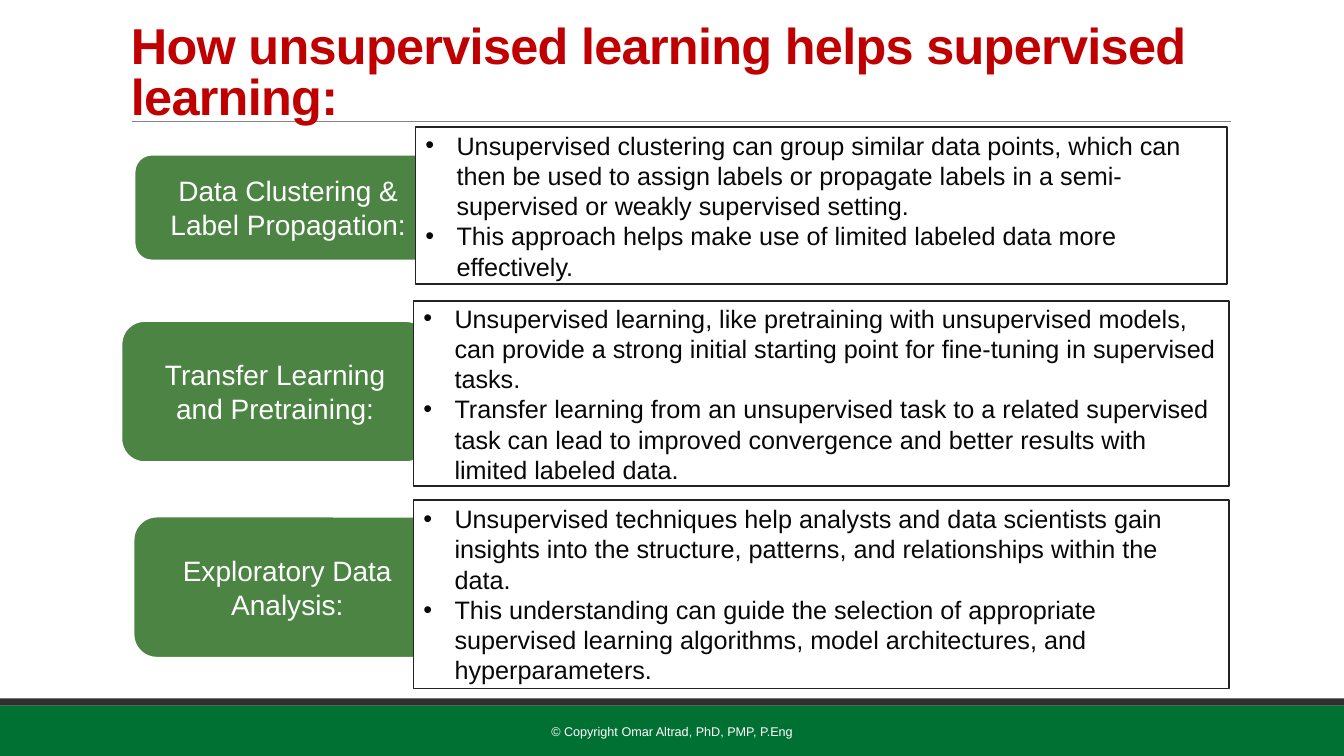
from lxml import etree
from pptx import Presentation
from pptx.dml.color import RGBColor
from pptx.enum.shapes import MSO_CONNECTOR, MSO_SHAPE
from pptx.enum.text import MSO_ANCHOR, PP_ALIGN
from pptx.oxml.ns import qn
from pptx.util import Inches, Pt

RECT, ROUND = MSO_SHAPE.RECTANGLE, MSO_SHAPE.ROUNDED_RECTANGLE
STRAIGHT = MSO_CONNECTOR.STRAIGHT
MIDDLE = MSO_ANCHOR.MIDDLE
LEFT, CENTER = PP_ALIGN.LEFT, PP_ALIGN.CENTER

COLORS = {
    "white": "FFFFFF", "footer": "007033", "band": "2F2F2F", "rule": "848484",
    "title": "C00000", "label": "4C8444", "edge": "232323", "body": "080808",
}
FONT = "Arial"
WIDTH, HEIGHT = 13.33, 7.5
INDENT = 0.31

TITLE = "How unsupervised learning helps supervised learning:"
CREDIT = "© Copyright Omar Altrad, PhD, PMP, P.Eng"
TOPICS = [
    {
        "label": "Data Clustering & Label Propagation:",
        "tab": (1.33, 1.53, 3.06, 1.06),
        "box": (4.12, 1.26, 8.05, 1.56),
        "points": [
            "Unsupervised clustering can group similar data points, which can then be used to assign labels or propagate labels in a semi-supervised or weakly supervised setting.",
            "This approach helps make use of limited labeled data more effectively.",
        ],
    },
    {
        "label": "Transfer Learning and Pretraining:",
        "tab": (1.2, 3.18, 3.06, 1.41),
        "box": (4.1, 2.99, 8.09, 1.83),
        "points": [
            "Unsupervised learning, like pretraining with unsupervised models, can provide a strong initial starting point for fine-tuning in supervised tasks.",
            "Transfer learning from an unsupervised task to a related supervised task can lead to improved convergence and better results with limited labeled data.",
        ],
    },
    {
        "label": "Exploratory Data Analysis:",
        "tab": (1.32, 5.12, 3.06, 1.41),
        "box": (4.1, 4.96, 8.09, 1.87),
        "points": [
            "Unsupervised techniques help analysts and data scientists gain insights into the structure, patterns, and relationships within the data.",
            "This understanding can guide the selection of appropriate supervised learning algorithms, model architectures, and hyperparameters.",
        ],
    },
]


def color(name):
    return RGBColor.from_string(COLORS[name])


def add_box(slide, kind, area, fill, edge=None, weight=1):
    shape = slide.shapes.add_shape(kind, *map(Inches, area))
    shape.shadow.inherit = False
    shape.fill.solid()
    shape.fill.fore_color.rgb = color(fill)
    if edge:
        shape.line.color.rgb = color(edge)
        shape.line.width = Pt(weight)
    else:
        shape.line.fill.background()
    return shape


def add_rule(slide, start, end):
    rule = slide.shapes.add_connector(STRAIGHT, *map(Inches, start + end))
    rule.line.color.rgb = color("rule")
    rule.line.width = Pt(0.5)
    etree.SubElement(rule.element.spPr, qn("a:effectLst"))


def write(shape, lines, size, hue, align=LEFT, bold=False, bullet=False,
          leading=None, tracking=None, inset=0.1):
    frame = shape.text_frame
    frame.word_wrap = True
    frame.vertical_anchor = MIDDLE
    frame.margin_left = frame.margin_right = Inches(inset)
    frame.margin_top = frame.margin_bottom = Inches(0.05)
    for i, line in enumerate(lines):
        para = frame.paragraphs[0] if i == 0 else frame.add_paragraph()
        para.alignment = align
        if leading:
            para.line_spacing = leading
        run = para.add_run()
        run.text = line
        run.font.name = FONT
        run.font.size = Pt(size)
        run.font.bold = bold
        run.font.color.rgb = color(hue)
        if tracking:
            run._r.get_or_add_rPr().set("spc", str(int(tracking * 100)))
        if bullet:
            props = para._p.get_or_add_pPr()
            props.set("marL", str(Inches(INDENT)))
            props.set("indent", str(-Inches(INDENT)))
            etree.SubElement(props, qn("a:buFont"), typeface=FONT)
            etree.SubElement(props, qn("a:buChar"), char="•")


def main():
    deck = Presentation()
    deck.slide_width, deck.slide_height = Inches(WIDTH), Inches(HEIGHT)
    slide = deck.slides.add_slide(deck.slide_layouts[6])

    add_box(slide, RECT, (0, 7, WIDTH, 0.5), "footer")
    add_box(slide, RECT, (0, 6.93, WIDTH, 0.07), "band")
    add_rule(slide, (1.31, 1.2), (12.21, 1.2))

    title = slide.shapes.add_textbox(*map(Inches, (1.2, 0.31, 11, 0.86)))
    write(title, [TITLE], 36, "title", bold=True, leading=0.85, tracking=-0.5)
    credit = slide.shapes.add_textbox(*map(Inches, (4.03, 7.06, 5.27, 0.4)))
    write(credit, [CREDIT], 9, "white", align=CENTER)

    for topic in TOPICS:
        tab = add_box(slide, ROUND, topic["tab"], "label", "white", 2)
        write(tab, [topic["label"]], 20, "white", align=CENTER, inset=0.2)
        box = add_box(slide, RECT, topic["box"], "white", "edge", 1.25)
        write(box, topic["points"], 18, "body", bullet=True)

    deck.save("out.pptx")


if __name__ == "__main__":
    main()
